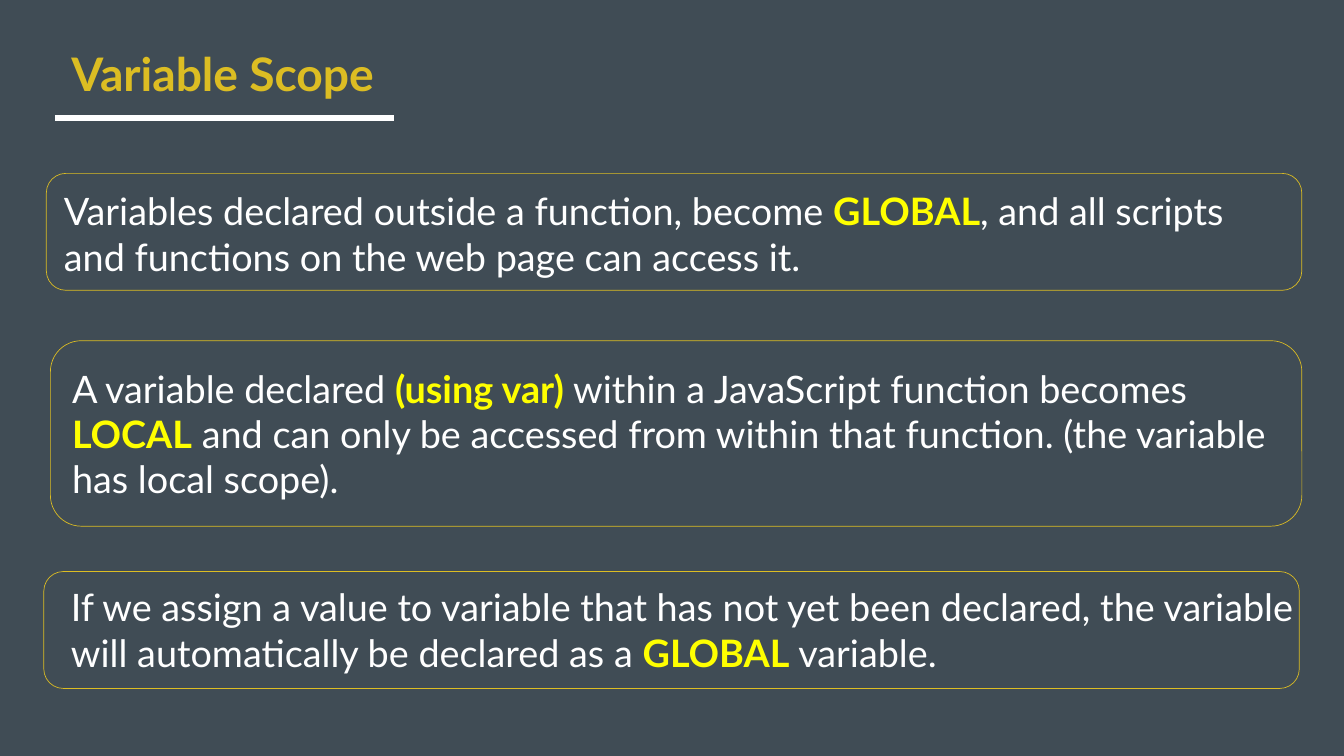
"""Build the Variable Scope slide: a ruled title and three outlined rules."""
from dataclasses import dataclass

from lxml.etree import SubElement
from pptx import Presentation
from pptx.dml.color import RGBColor
from pptx.enum.shapes import MSO_CONNECTOR, MSO_SHAPE
from pptx.enum.text import MSO_AUTO_SIZE, PP_ALIGN
from pptx.oxml.ns import qn
from pptx.slide import Slide
from pptx.util import Pt

COLORS = {
    "slate": "404C55",
    "gold": "DCBD23",
    "white": "FFFFFF",
    "yellow": "FFFF00",
}
FONT = "Lato"


@dataclass
class Box:
    """A rectangle in points."""
    left: float
    top: float
    width: float
    height: float

    def lengths(self) -> tuple:
        """Return the four lengths for a shape call."""
        return Pt(self.left), Pt(self.top), Pt(self.width), Pt(self.height)


@dataclass
class Rule:
    """A scope rule; every second phrase of its text is a key term."""
    frame: Box
    body: Box
    phrases: list[str]


RULES = [
    Rule(Box(66.2, 247.7, 1793.5, 167), Box(84.2, 265, 1769, 138.2),
         ["Variables declared outside a function, become ", "GLOBAL",
          ", and all scripts and functions on the web page can access it."]),
    Rule(Box(72, 486.7, 1787.8, 265), Box(95.8, 518.4, 1774, 203.8),
         ["A variable declared ", "(using var) ",
          "within a JavaScript function becomes ", "LOCAL",
          " and can only be accessed from within that function. "
          "(the variable has local scope)."]),
    Rule(Box(62.6, 816.5, 1793.5, 167), Box(94.3, 830.9, 1781.3, 138.2),
         ["If we assign a value to variable that has not yet been declared, "
          "the variable will automatically be declared as a ", "GLOBAL",
          " variable."]),
]


def rgb(name: str) -> RGBColor:
    """Look up a named colour."""
    return RGBColor.from_string(COLORS[name])


def add_text(s: Slide, box: Box, phrases: list[str], *, size: float = 54,
             color: str = "white", bold: bool = False, wrap: bool = True,
             align: PP_ALIGN = PP_ALIGN.LEFT) -> None:
    """Add a text box whose every second phrase is a bold yellow key term."""
    tf = s.shapes.add_textbox(*box.lengths()).text_frame
    tf.word_wrap = wrap
    tf.auto_size = MSO_AUTO_SIZE.SHAPE_TO_FIT_TEXT
    p = tf.paragraphs[0]
    p.alignment = align
    for i, phrase in enumerate(phrases):
        key = i % 2 == 1
        r = p.add_run()
        r.text = phrase
        r.font.name = FONT
        r.font.size = Pt(size)
        r.font.bold = key or bold
        r.font.color.rgb = rgb("yellow" if key else color)


def add_frame(s: Slide, box: Box) -> None:
    """Add an unfilled rounded rectangle with a thin gold line."""
    sp = s.shapes.add_shape(MSO_SHAPE.ROUNDED_RECTANGLE, *box.lengths())
    sp.shadow.inherit = False
    sp.fill.background()
    sp.line.color.rgb = rgb("gold")
    sp.line.width = Pt(1)


def add_underline(s: Slide, left: float, right: float, y: float) -> None:
    """Add the thick white line under the title."""
    line = s.shapes.add_connector(MSO_CONNECTOR.STRAIGHT,
                                  Pt(left), Pt(y), Pt(right), Pt(y))
    line.line.color.rgb = rgb("white")
    line.line.width = Pt(8)
    SubElement(line._element.spPr, qn("a:effectLst"))


def main() -> None:
    """Build and save the slide."""
    prs = Presentation()
    prs.slide_width, prs.slide_height = Pt(1920), Pt(1080)
    s = prs.slides.add_slide(prs.slide_layouts[6])
    s.background.fill.solid()
    s.background.fill.fore_color.rgb = rgb("slate")

    add_text(s, Box(72, 61.2, 492.5, 87.1), ["Variable Scope"], size=66,
             color="gold", bold=True, wrap=False, align=PP_ALIGN.CENTER)
    add_underline(s, 78.5, 563, 168.5)
    for rule in RULES:
        add_text(s, rule.body, rule.phrases)
        add_frame(s, rule.frame)
    prs.save("out.pptx")


if __name__ == "__main__":
    main()
